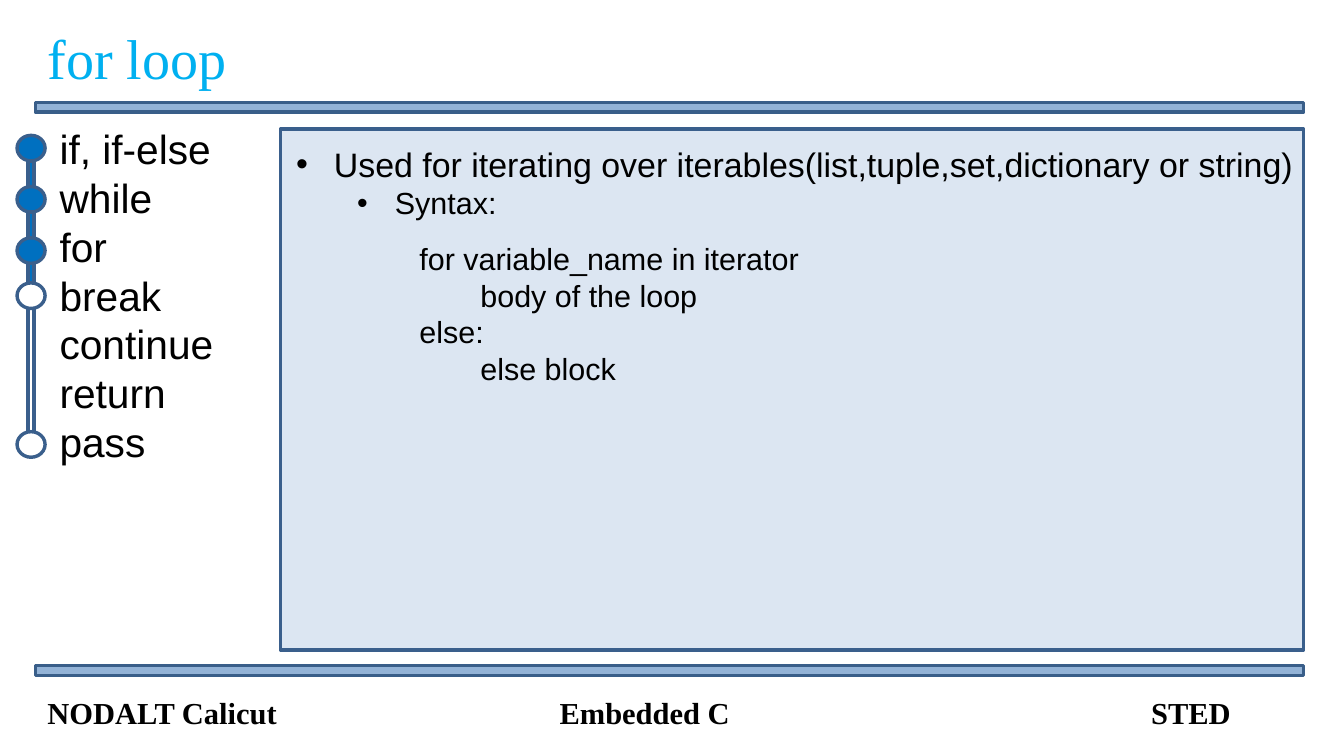
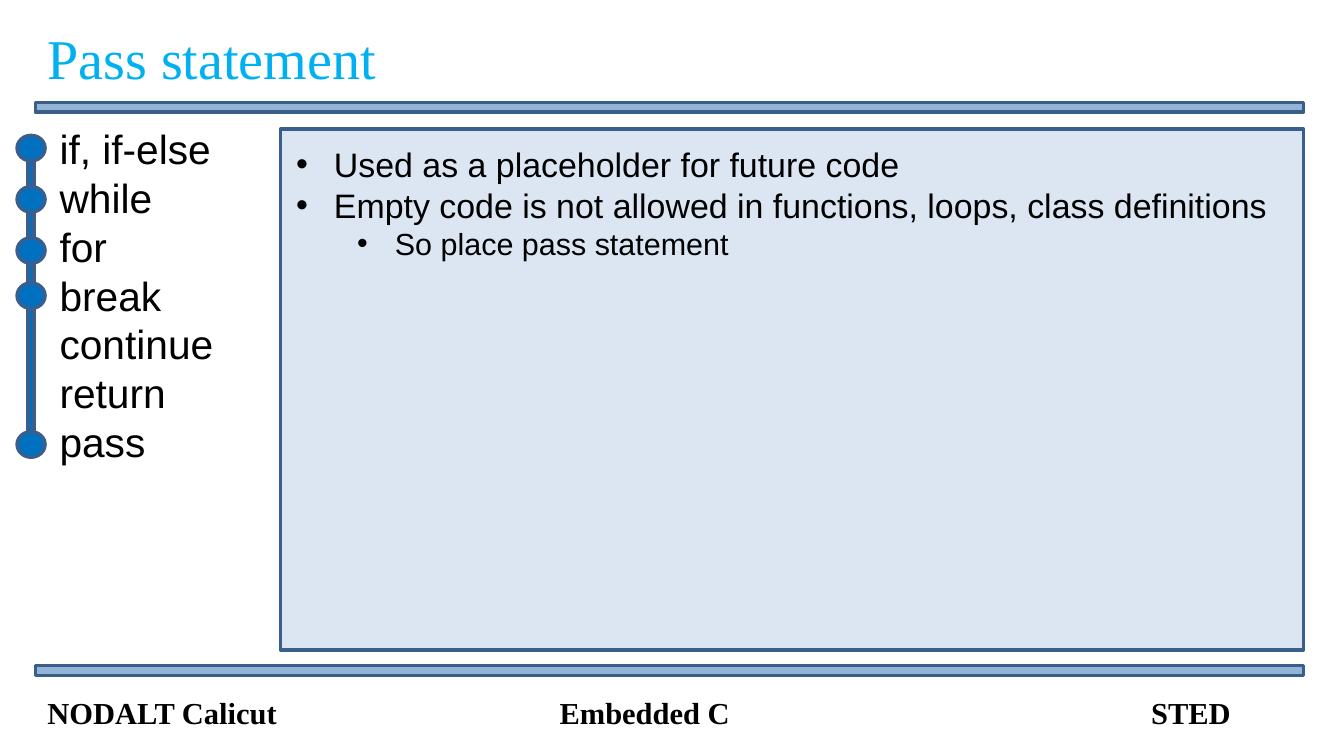
from lxml import etree
from pptx import Presentation
from pptx.dml.color import RGBColor
from pptx.enum.shapes import MSO_SHAPE
from pptx.enum.text import MSO_AUTO_SIZE
from pptx.oxml.ns import qn
from pptx.util import Inches, Pt

RECTANGLE = MSO_SHAPE.RECTANGLE
OVAL = MSO_SHAPE.OVAL
FIT_SHAPE = MSO_AUTO_SIZE.SHAPE_TO_FIT_TEXT
NO_FIT = MSO_AUTO_SIZE.NONE

BLACK = RGBColor(0x00, 0x00, 0x00)
TITLE_BLUE = RGBColor(0x00, 0xB0, 0xF0)
STEP_BLUE = RGBColor(0x00, 0x70, 0xC0)
PANEL_BLUE = RGBColor(0xDC, 0xE6, 0xF2)
OUTLINE_BLUE = RGBColor(0x3A, 0x5F, 0x8C)
BAND_BLUE = RGBColor(0x93, 0xB3, 0xD7)
BAND_OUTLINE = RGBColor(0x39, 0x5E, 0x89)

SANS = "Arial"
SERIF = "Times New Roman"

# Shared frame
MARGIN = 0.29
BAND_WIDTH = 10.4
BAND_TOPS = (0.84, 5.46)
FOOTER = ("NODALT Calicut", "Embedded C", "STED")
FOOTER_TABS = (4.2, 9.05)

# Progress track: one stop per group of topics
TOPICS = ("if, if-else", "while", "for", "break", "continue", "return", "pass")
STOP_TOPS = (1.11, 1.53, 1.95, 2.32, 3.54)
STOP_LEFT, STOP_WIDTH, STOP_HEIGHT = 0.14, 0.23, 0.21
LINK_WIDTH = 0.05

# Bullet levels: text indent in inches and text size in points
BULLET_LEVELS = ((0.31, 20), (0.81, 18))
BULLET_HANG = 0.31


def add_block(page, kind, left, top, width, height, fill, outline=OUTLINE_BLUE):
    block = page.shapes.add_shape(
        kind, Inches(left), Inches(top), Inches(width), Inches(height))
    block.shadow.inherit = False
    if fill is None:
        block.fill.background()
    else:
        block.fill.solid()
        block.fill.fore_color.rgb = fill
    block.line.color.rgb = outline
    block.line.width = Pt(2)


def add_text_box(page, left, top, width, height, wrap=True, fit=FIT_SHAPE):
    box = page.shapes.add_textbox(
        Inches(left), Inches(top), Inches(width), Inches(height))
    box.text_frame.word_wrap = wrap
    box.text_frame.auto_size = fit
    return box.text_frame


def add_line(frame, text, size, font=SANS, color=BLACK, bold=False):
    """Fill the first empty paragraph, or append a new one."""
    para = frame.paragraphs[-1]
    if para.runs:
        para = frame.add_paragraph()
    span = para.add_run()
    span.text = text
    span.font.name = font
    span.font.size = Pt(size)
    span.font.bold = bold
    span.font.color.rgb = color
    return para


def set_bullet(para, level):
    para.level = level
    properties = para._p.get_or_add_pPr()
    properties.set("marL", str(Inches(BULLET_LEVELS[level][0])))
    properties.set("indent", str(-Inches(BULLET_HANG)))
    etree.SubElement(properties, qn("a:buFont"), typeface=SANS)
    etree.SubElement(properties, qn("a:buChar"), char="•")


def set_tabs(para, positions):
    tabs = etree.SubElement(para._p.get_or_add_pPr(), qn("a:tabLst"))
    for position in positions:
        etree.SubElement(tabs, qn("a:tab"), pos=str(Inches(position)), algn="l")


def add_frame(page, title, title_width):
    # Content panel and the two bands
    add_block(page, RECTANGLE, 2.3, 1.06, 8.39, 4.27, PANEL_BLUE)
    for top in BAND_TOPS:
        add_block(page, RECTANGLE, MARGIN, top, BAND_WIDTH, 0.08,
                  BAND_BLUE, BAND_OUTLINE)
    # Footer
    footer = add_text_box(page, MARGIN, 5.64, BAND_WIDTH, 0.38, fit=NO_FIT)
    para = add_line(footer, "\t".join(FOOTER), 18, SERIF, bold=True)
    set_tabs(para, FOOTER_TABS)
    # Title
    heading = add_text_box(page, MARGIN, 0.14, title_width, 0.66, wrap=False)
    add_line(heading, title, 33.1, SERIF, TITLE_BLUE)


def add_progress(page, reached):
    """Draw the stops and links, filled for the first `reached` stops."""
    link_left = STOP_LEFT + (STOP_WIDTH - LINK_WIDTH) / 2
    for index, top in enumerate(STOP_TOPS):
        fill = STEP_BLUE if index < reached else None
        add_block(page, OVAL, STOP_LEFT, top, STOP_WIDTH, STOP_HEIGHT, fill)
        if index + 1 < len(STOP_TOPS):
            link_top = top + STOP_HEIGHT
            add_block(page, RECTANGLE, link_left, link_top, LINK_WIDTH,
                      STOP_TOPS[index + 1] - link_top, fill)
    topics = add_text_box(page, 0.39, 0.97, 10.24, 2.93)
    for topic in TOPICS:
        add_line(topics, topic, 24)


def add_bullets(page, width, height, bullets):
    frame = add_text_box(page, 2.33, 1.13, width, height, wrap=False)
    for level, text in bullets:
        set_bullet(add_line(frame, text, BULLET_LEVELS[level][1]), level)


def add_code(page, lines):
    frame = add_text_box(page, 3.34, 1.92, 5.51, 1.31)
    for line in lines:
        add_line(frame, line, 18)


def add_page(deck, title, title_width, reached):
    page = deck.slides.add_slide(deck.slide_layouts[6])
    add_frame(page, title, title_width)
    add_progress(page, reached)
    return page


def main():
    deck = Presentation()
    deck.slide_width, deck.slide_height = Inches(11.02), Inches(6.2)

    # for loop
    page = add_page(deck, "for loop", 1.68, 3)
    add_code(page, ("for variable_name in iterator", "\tbody of the loop",
                    "else:", "\telse block"))
    add_bullets(page, 8.44, 0.74, (
        (0, "Used for iterating over iterables(list,tuple,set,dictionary or string)"),
        (1, "Syntax:"),
    ))

    # Pass statement
    page = add_page(deck, "Pass statement", 2.92, len(STOP_TOPS))
    add_bullets(page, 8.23, 1.08, (
        (0, "Used as a placeholder for future code"),
        (0, "Empty code is not allowed in functions, loops, class definitions"),
        (1, "So place pass statement"),
    ))

    deck.save("out.pptx")


if __name__ == "__main__":
    main()
